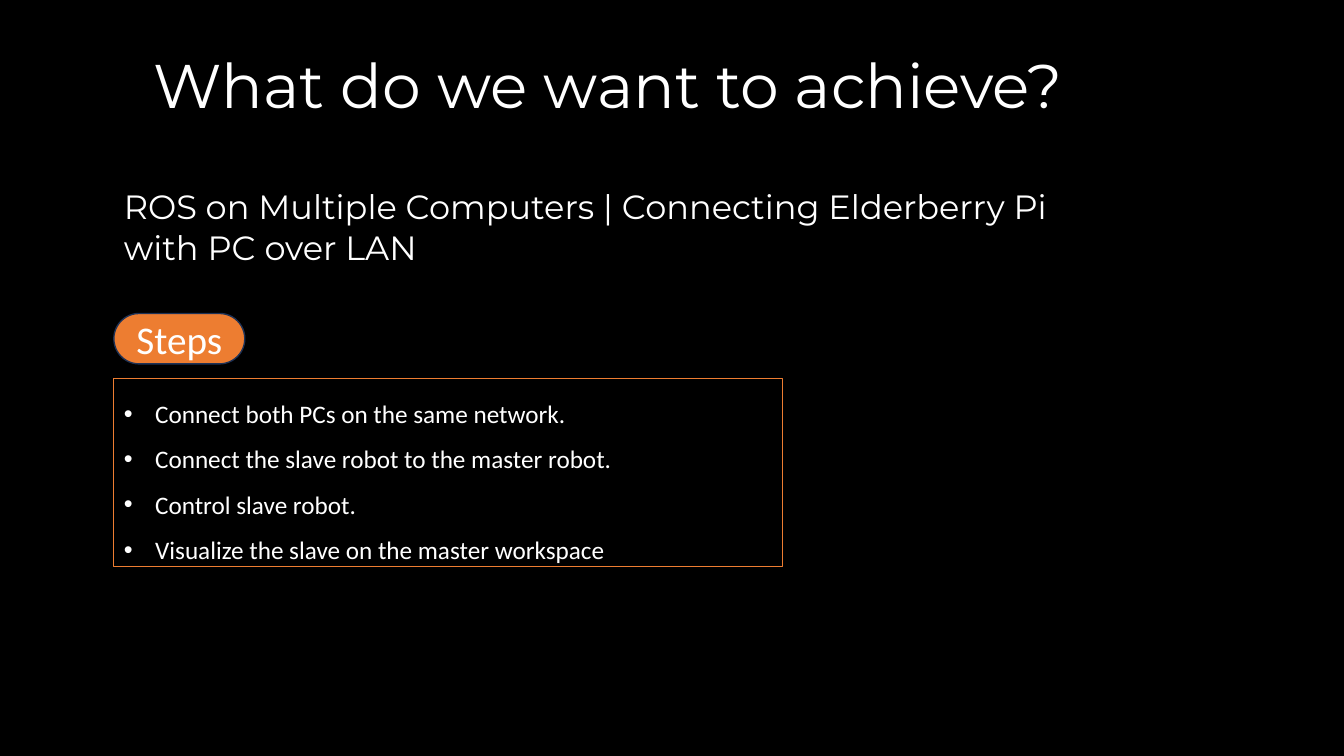
from pptx import Presentation
from pptx.dml.color import RGBColor
from pptx.enum.shapes import MSO_SHAPE
from pptx.enum.text import MSO_ANCHOR, PP_ALIGN
from pptx.oxml.ns import qn
from pptx.util import Cm, Pt
from lxml.etree import SubElement

WHITE = "FFFFFF"
ORANGE = "ED7D31"
LEFT = 2.87
STEPS = [
    "Connect both PCs on the same network.",
    "Connect the slave robot to the master robot.",
    "Control slave robot.",
    "Visualize the slave on the master workspace",
]


def paint(color, code):
    color.rgb = RGBColor.from_string(code)


def apply(item, form):
    for key, value in form.items():
        setattr(item, key, value)


def write(shape, lines, name, size, frame={}, para={}):
    text = shape.text_frame
    apply(text, {"word_wrap": True, **frame})
    text.text = "\n".join(lines)
    for part in text.paragraphs:
        apply(part, para)
        font = part.runs[0].font
        apply(font, {"name": name, "size": Pt(size)})
        paint(font.color, WHITE)


def add_text(slide, area, line, size):
    box = slide.shapes.add_textbox(*map(Cm, area))
    write(box, [line], "Montserrat", size)


def add_shape(slide, kind, area, fill, line, width):
    shape = slide.shapes.add_shape(kind, *map(Cm, area))
    shape.shadow.inherit = False
    if fill:
        shape.fill.solid()
        paint(shape.fill.fore_color, fill)
    else:
        shape.fill.background()
    paint(shape.line.color, line)
    shape.line.width = Pt(width)
    return shape


def add_list(slide, area, lines):
    box = add_shape(slide, MSO_SHAPE.RECTANGLE, area, None, ORANGE, 0.75)
    write(box, lines, "Calibri", 18, {"vertical_anchor": MSO_ANCHOR.TOP},
          {"alignment": PP_ALIGN.LEFT, "line_spacing": 1.5})
    for part in box.text_frame.paragraphs:
        props = part._p.get_or_add_pPr()
        props.set("marL", str(Cm(0.79)))
        props.set("indent", str(-Cm(0.79)))
        SubElement(props, qn("a:buFont"), typeface="Arial")
        SubElement(props, qn("a:buChar"), char="•")


def add_pill(slide, area, label):
    pill = add_shape(slide, MSO_SHAPE.ROUNDED_RECTANGLE, area, ORANGE, "1E3256", 1)
    pill.adjustments[0] = 0.5
    write(pill, [label], "Calibri", 28, {"vertical_anchor": MSO_ANCHOR.MIDDLE},
          {"alignment": PP_ALIGN.CENTER})


def main():
    deck = Presentation()
    apply(deck, {"slide_width": Cm(33.87), "slide_height": Cm(19.05)})
    slide = deck.slides.add_slide(deck.slide_layouts[6])
    back = slide.background.fill
    back.solid()
    paint(back.fore_color, "000000")
    add_text(slide, (3.61, 1.07, 26.62, 2.13), "What do we want to achieve?", 44)
    add_text(slide, (LEFT, 4.57, 24.79, 2.31),
             "ROS on Multiple Computers | Connecting Elderberry Pi with PC over LAN", 24)
    add_list(slide, (LEFT, 9.53, 16.84, 4.75), STEPS)
    add_pill(slide, (LEFT, 7.9, 3.3, 1.27), "Steps")
    deck.save("out.pptx")


if __name__ == "__main__":
    main()
